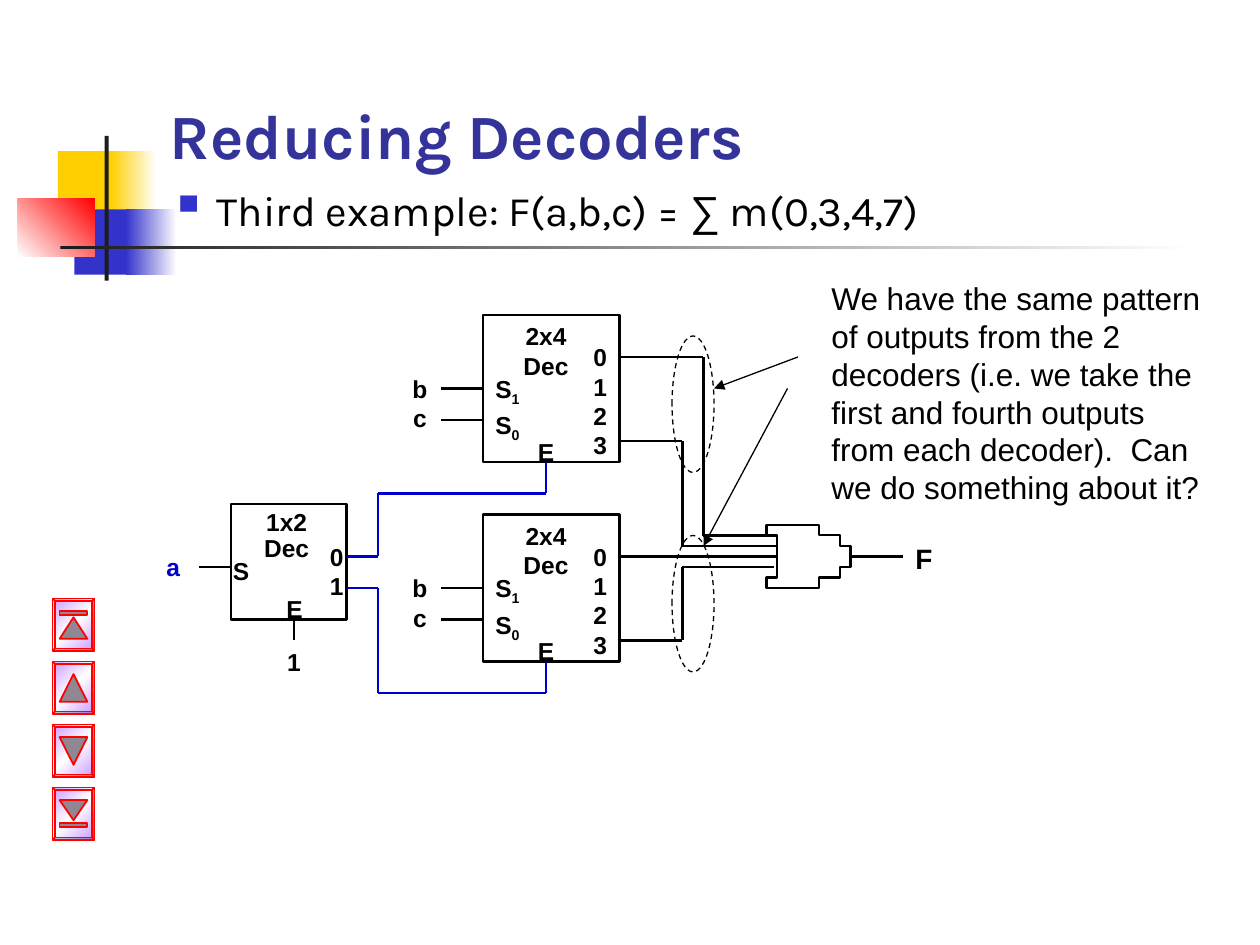
from lxml.etree import SubElement
from pptx import Presentation
from pptx.dml.color import RGBColor
from pptx.enum.dml import MSO_LINE
from pptx.enum.shapes import MSO_CONNECTOR, MSO_SHAPE
from pptx.enum.text import MSO_ANCHOR, PP_ALIGN
from pptx.oxml import parse_xml
from pptx.oxml.ns import nsdecls, qn
from pptx.util import Cm, Pt

GRID = 2.54 / 12  # the diagram sits on a grid of twelve cells to the inch
BLACK, BLUE, RED, WHITE = "000000", "0000CC", "FF0000", "FFFFFF"
LEFT, CENTER, RIGHT = PP_ALIGN.LEFT, PP_ALIGN.CENTER, PP_ALIGN.RIGHT

# Corner ornament in centimetres: left, top, width, height, colours, angle
ORNAMENT = [
    (1.17, 3.05, 1.22, 1.32, ["FFCF01"], 0),
    (2.24, 3.05, 0.91, 1.32, ["FFCF01", WHITE], 0),
    (1.5, 4.22, 1.17, 1.32, ["3333CC"], 0),
    (2.54, 4.22, 1.02, 1.32, ["3333CC", WHITE], 0),
    (0.36, 4.01, 1.55, 1.17, [WHITE, RED], 315),
    (2.11, 2.74, 0.08, 2.92, ["1C1C1C"], 0),
    (1.22, 4.95, 22.86, 0.08, ["1C1C1C", WHITE], 0),
]
TITLE = "Reducing Decoders"
EXAMPLE = [("Third example: F(a,b,c) = ", "Karla"), ("∑", "Arial"),
           (" m(0,3,4,7)", "Karla")]
NOTE = ("We have the same pattern of outputs from the 2 decoders (i.e. we take "
        "the first and fourth outputs from each decoder).  Can we do something "
        "about it?")

# Everything below is in grid cells.
# Buttons: triangle top and height, rotation, bar top (from the button's top)
BUTTONS = [(1.8, 2.04, 0, 1.2), (1.2, 2.64, 0, None),
           (1.2, 2.64, 180, None), (1.2, 1.92, 180, 3.4)]
DECODER_TOPS = [30, 49]
# Labels of a 2x4 decoder: left, top (from the decoder's top), width, height
DECODER_LABELS = [
    (47, 0, 10, 6.8, ["2x4", "Dec"], CENTER),
    (46, 5, 5.5, 7.9, ["S1", "S0"], LEFT),
    (54, 2, 5, 12.5, ["0", "1", "2", "3"], RIGHT),
    (50, 11, 4, 4.1, ["E"], CENTER),
    (38, 5, 4, 6.8, ["b", "c"], CENTER),
]
SELECTOR_LABELS = [
    (22.3, 48, 10, 6.2, ["1x2", "Dec"], CENTER, BLACK, 0.9),
    (21, 52.4, 5.6, 4.1, ["S"], LEFT, BLACK, None),
    (28.9, 51, 5, 6.8, ["0", "1"], RIGHT, BLACK, None),
    (25.9, 56, 4.3, 4.1, ["E"], CENTER, BLACK, None),
    (14, 52, 5, 4.1, ["a"], CENTER, BLUE, None),
    (25, 61, 6, 4.1, ["1"], CENTER, BLACK, None),
]
WIRES = [  # colour, width, corners
    (BLACK, 1.25, [(59, 34), (67, 34), (67, 51), (74, 51)]),
    (BLACK, 1.25, [(59, 42), (65, 42), (65, 52), (74, 52)]),
    (BLACK, 1.25, [(59, 53), (74, 53)]),
    (BLACK, 1.25, [(59, 61), (65, 61), (65, 54), (73.7, 54)]),
    (BLUE, 1.25, [(33, 53), (36, 53), (36, 47), (52, 47), (52, 44)]),
    (BLUE, 1.25, [(33, 56), (36, 56), (36, 66), (52, 66), (52, 63)]),
    (BLACK, 1.25, [(19, 54), (22, 54)]),
    (BLACK, 1.25, [(81, 53), (86, 53)]),
    (BLACK, 0.75, [(28, 59), (28, 61)]),
]
ARROWS = [((76, 34), (68, 37)), ((75, 37), (67, 52))]
RINGS = [(64, 32, 4, 13), (64, 51, 4, 13)]
GATE_MIDDLE = 53
GATE_FRONT = [  # Bezier pieces of the upper front edge
    [(75.9, 50), (77.4, 50.3), (78.8, 50.5), (79.7, 51.1)],
    [(79.7, 51.1), (80.5, 51.6), (80.8, 52.4), (81, 53)],
]
GATE_BACK = [
    [(73, 56), (73.2, 55.4), (74.2, 54), (74.2, 53)],
    [(74.2, 53), (74.2, 52), (73.6, 51), (73, 50)],
]

deck = Presentation()
deck.slide_width, deck.slide_height = Cm(25.4), Cm(19.05)
page = deck.slides.add_slide(deck.slide_layouts[6])


def color(value):
    return RGBColor.from_string(value)


def place(numbers, unit=GRID):
    return [Cm(number * unit) for number in numbers]


def paint(shape, colors, angle=0):
    if not colors:
        shape.fill.background()
    elif len(colors) == 1:
        shape.fill.solid()
        shape.fill.fore_color.rgb = color(colors[0])
    else:
        step = 100000 // (len(colors) - 1)
        stops = "".join(f'<a:gs pos="{i * step}"><a:srgbClr val="{c}"/></a:gs>'
                        for i, c in enumerate(colors))
        shape.fill.background()
        old = shape._element.spPr.find(qn("a:noFill"))
        old.getparent().replace(old, parse_xml(
            f'<a:gradFill {nsdecls("a")}><a:gsLst>{stops}</a:gsLst>'
            f'<a:lin ang="{angle * 60000}" scaled="0"/></a:gradFill>'))


def outline(shape, line_color, width):
    shape.line.color.rgb = color(line_color)
    shape.line.width = Pt(width)


def add_shape(kind, area, colors=(), angle=0, line=None, unit=GRID):
    shape = page.shapes.add_shape(kind, *place(area, unit))
    shape.shadow.inherit = False
    paint(shape, colors, angle)
    if line:
        outline(shape, *line)
    else:
        shape.line.fill.background()
    return shape


def add_line(start, end, line_color, width):
    line = page.shapes.add_connector(MSO_CONNECTOR.STRAIGHT, *place(start + end))
    outline(line, line_color, width)
    SubElement(line._element.spPr, qn("a:effectLst"))
    return line


def style(font, size, font_color=BLACK, bold=False, name="Arial"):
    font.name, font.size, font.bold = name, Pt(size), bold
    font.color.rgb = color(font_color)


def add_box(area):
    frame = page.shapes.add_textbox(*place(area)).text_frame
    frame.word_wrap = True
    return frame


def add_label(area, lines, align=LEFT, font_color=BLACK, spacing=None, size=14):
    frame = add_box(area)
    for i, text in enumerate(lines):
        para = frame.paragraphs[0] if i == 0 else frame.add_paragraph()
        para.alignment, para.line_spacing = align, spacing
        subscript = len(text) == 2  # S1 and S0
        para.add_run().text = text[0] if subscript else text
        if subscript:
            span = para.add_run()
            span.text = text[1]
            span.font._element.set("baseline", "-25000")
            if i:
                para.space_before = Pt(1.8)
        style(para.font, size, font_color, True)


def bezier(points, steps=12):
    for t in (i / steps for i in range(1, steps + 1)):
        weights = ((1 - t) ** 3, 3 * t * (1 - t) ** 2, 3 * t * t * (1 - t), t ** 3)
        yield tuple(sum(w * p[axis] for w, p in zip(weights, points))
                    for axis in (0, 1))


# Ornament, title and example
for *area, colors, angle in ORNAMENT:
    add_shape(MSO_SHAPE.RECTANGLE, area, colors, angle, unit=1)

frame = add_box((15, 2, 102, 15))
frame.vertical_anchor = MSO_ANCHOR.BOTTOM
frame.text = TITLE
style(frame.paragraphs[0].font, 36, "333399", True, "Karla")

para = add_box((15, 17, 101, 7)).paragraphs[0]
props = para._p.get_or_add_pPr()
props.set("marL", str(Cm(0.95)))
props.set("indent", str(-Cm(0.95)))
SubElement(SubElement(props, qn("a:buClr")), qn("a:srgbClr")).set("val", "3333CC")
SubElement(props, qn("a:buSzPct")).set("val", "120000")
SubElement(props, qn("a:buChar")).set("char", "▪")
for text, name in EXAMPLE:
    span = para.add_run()
    span.text = text
    style(span.font, 24, name=name)

# Navigation buttons
for i, (top, height, turn, bar) in enumerate(BUTTONS):
    y = 57 + 6 * i
    edge = (RED, 1)
    button = add_shape(MSO_SHAPE.BEVEL, (5, y, 4, 5),
                       ["CC99FF", WHITE, "CC99FF"], 45, edge)
    button.adjustments[0] = 0.06
    arrow = add_shape(MSO_SHAPE.ISOSCELES_TRIANGLE, (5.68, y + top, 2.64, height),
                      ["8F8793"], line=edge)
    arrow.rotation = turn
    if bar:
        add_shape(MSO_SHAPE.RECTANGLE, (5.68, y + bar, 2.64, 0.36),
                  ["8F8793"], line=edge)

# Decoders with their inputs
for top in DECODER_TOPS:
    add_shape(MSO_SHAPE.RECTANGLE, (46, top, 13, 14), line=(BLACK, 1.5))
    for x, y, width, height, lines, align in DECODER_LABELS:
        add_label((x, top + y, width, height), lines, align)
    for y in (top + 7, top + 10):
        add_line((42, y), (46, y), BLACK, 1.25)
add_shape(MSO_SHAPE.RECTANGLE, (22, 48, 11, 11), line=(BLACK, 1.5))
for *area, lines, align, font_color, spacing in SELECTOR_LABELS:
    add_label(area, lines, align, font_color, spacing)

# Wires
for line_color, width, corners in WIRES:
    for start, end in zip(corners, corners[1:]):
        add_line(start, end, line_color, width)

# OR gate and its output
front = [GATE_FRONT[0][0]] + [p for piece in GATE_FRONT for p in bezier(piece)]
lower = [(x, 2 * GATE_MIDDLE - y) for x, y in reversed(front)]
back = [p for piece in GATE_BACK for p in bezier(piece)]
builder = page.shapes.build_freeform(73, 50, scale=Cm(2.54) / 12)
builder.add_line_segments(front + lower + [(73, 56)] + back, close=True)
gate = builder.convert_to_shape()
gate.shadow.inherit = False
paint(gate, [])
outline(gate, BLACK, 1.25)
add_label((86, 51, 4, 4.4), ["F"], size=16)

# Remark with the rings it points at
for area in RINGS:
    ring = add_shape(MSO_SHAPE.OVAL, area, line=(BLACK, 0.75))
    ring.line.dash_style = MSO_LINE.DASH
for start, end in ARROWS:
    arrow = add_line(start, end, BLACK, 0.75)
    SubElement(arrow.line._get_or_add_ln(), qn("a:tailEnd")).set("type", "triangle")
frame = add_box((78, 26, 38, 22.8))
frame.text = NOTE
style(frame.paragraphs[0].font, 18)

deck.save("out.pptx")
